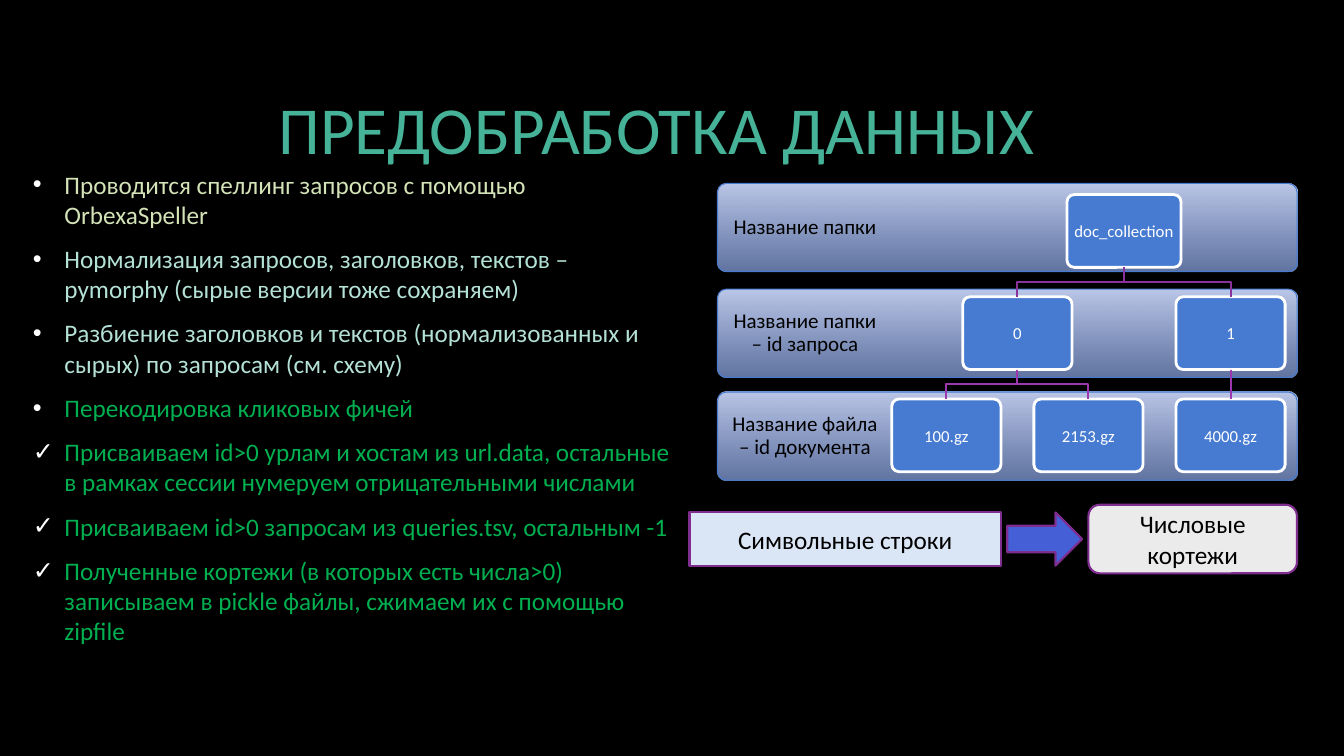
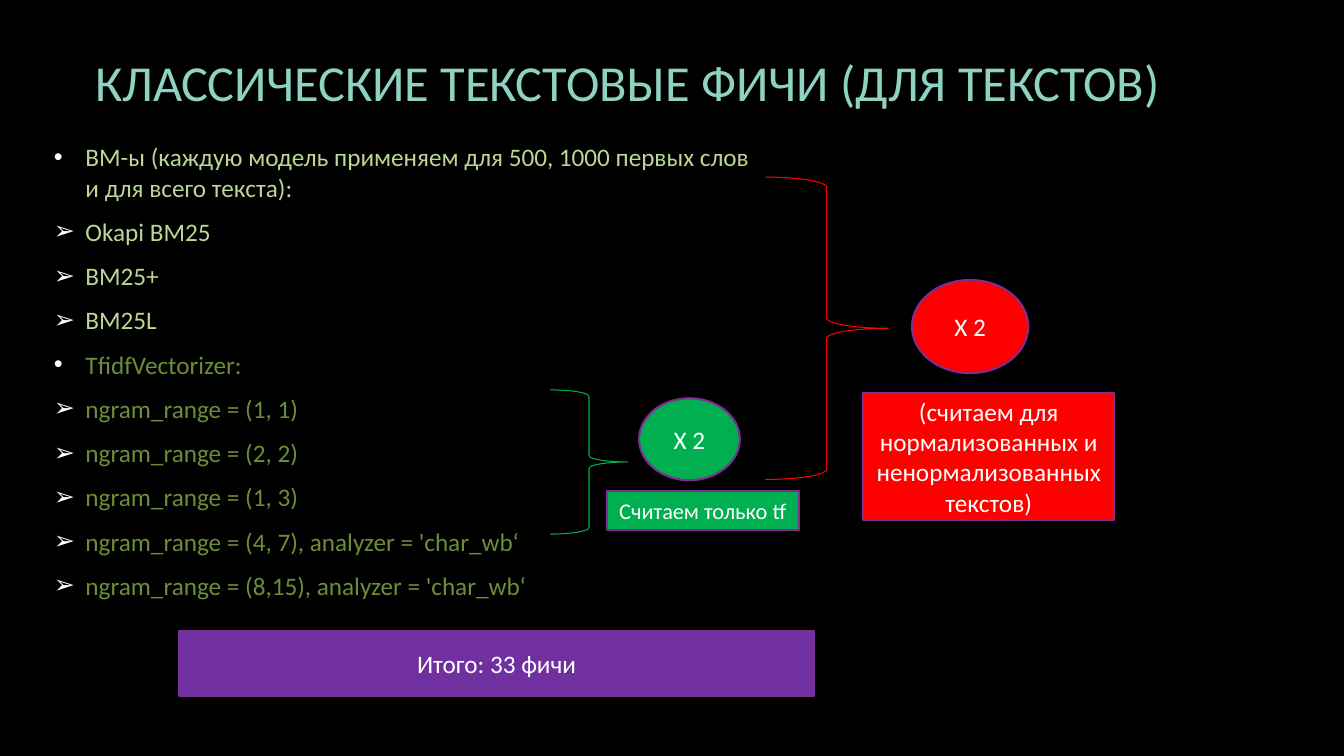
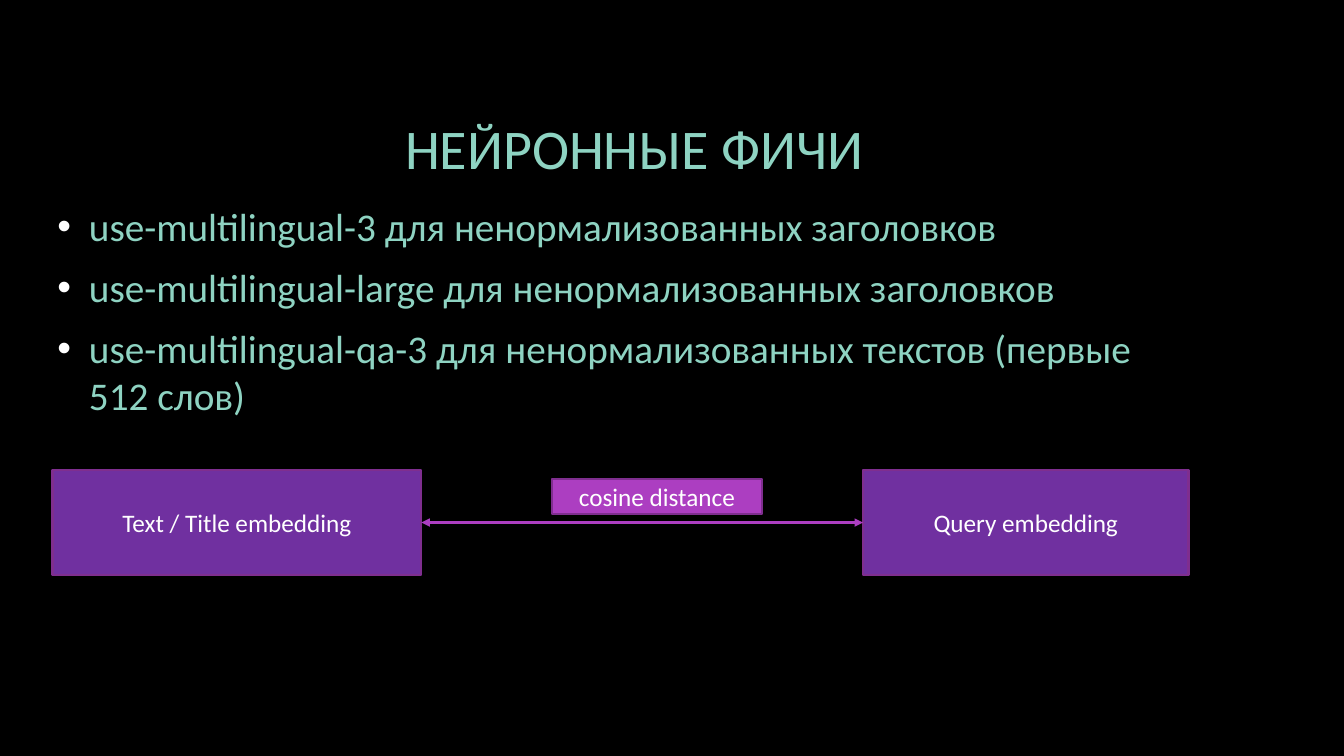
import dataclasses

import lxml.etree
import pptx
import pptx.dml.color
import pptx.enum.dml
import pptx.enum.shapes
import pptx.enum.text
import pptx.oxml.ns
import pptx.util

Pt = pptx.util.Pt
qn = pptx.oxml.ns.qn
Shape = pptx.enum.shapes.MSO_SHAPE
Align = pptx.enum.text.PP_ALIGN
RGB = pptx.dml.color.RGBColor.from_string


@dataclasses.dataclass(frozen=True)
class Theme:
    font: str = "Calibri"
    background: str = "000000"
    dark: str = "000000"
    white: str = "FFFFFF"
    teal: str = "46B298"
    light_teal: str = "8ED3C2"
    pale_teal: str = "B4E1D6"
    pale_olive: str = "D3E3B7"
    light_olive: str = "BCD694"
    olive: str = "6D8E37"
    green: str = "00B050"
    red: str = "FF0000"
    purple: str = "7030A0"
    outline: str = "7F2E8F"
    magenta: str = "AC3EC1"
    blue: str = "477BD1"
    arrow_blue: str = "455FD6"
    pale_blue: str = "DAE5F6"
    pale_grey: str = "EBEBEB"
    band_top: str = "BCC8E9"
    band_bottom: str = "859EDA"
    upper_branch: str = "8A329B"
    lower_branch: str = "9C38AF"
    body_size: float = 18
    large_size: float = 28
    note_size: float = 16
    band_size: float = 15
    node_size: float = 12
    bullet_indent: float = 22.5
    bullet_gap: float = 10


theme = Theme()


def write(frame, items, size, align=Align.CENTER):
    """Fill a frame with (bullet, colour, text) paragraphs."""
    frame.word_wrap = True
    frame.vertical_anchor = pptx.enum.text.MSO_ANCHOR.MIDDLE
    for index, (bullet, color, text) in enumerate(items):
        para = frame.add_paragraph() if index else frame.paragraphs[0]
        para.alignment = align
        if bullet:
            para.space_after = Pt(theme.bullet_gap)
            props = para._p.get_or_add_pPr()
            props.set("marL", str(Pt(theme.bullet_indent)))
            props.set("indent", str(-Pt(theme.bullet_indent)))
            tint = lxml.etree.SubElement(props, qn("a:buClr"))
            lxml.etree.SubElement(tint, qn("a:srgbClr"), val=theme.white)
            lxml.etree.SubElement(props, qn("a:buFont"), typeface="Arial")
            lxml.etree.SubElement(props, qn("a:buChar"), char=bullet)
        span = para.add_run()
        span.text = text
        span.font.name = theme.font
        span.font.size = Pt(size)
        span.font.color.rgb = RGB(color)


def draw(page, kind, area, fill=None, line=theme.outline, weight=1.5,
         text="", color=theme.white, size=theme.body_size):
    """Add a preset shape with an optional centred label."""
    box = page.shapes.add_shape(kind, *map(Pt, area))
    box.shadow.inherit = False
    if fill:
        box.fill.solid()
        box.fill.fore_color.rgb = RGB(fill)
    else:
        box.fill.background()
    box.line.color.rgb = RGB(line)
    box.line.width = Pt(weight)
    if text:
        write(box.text_frame, [("", color, text)], size)
    return box


deck = pptx.Presentation()
deck.slide_width, deck.slide_height = Pt(960), Pt(540)
backdrop = deck.slide_master.background.fill
backdrop.solid()
backdrop.fore_color.rgb = RGB(theme.background)

# Titles and bullet lists: title, area, size, colour, body area, size, items
contents = [
    ("ПРЕДОБРАБОТКА ДАННЫХ", (70, 34, 798, 114.5), 48, theme.teal,
     (16.5, 131, 473, 320), theme.body_size, [
         ("•", theme.pale_olive, "Проводится спеллинг запросов с помощью OrbexaSpeller"),
         ("•", theme.pale_teal, "Нормализация запросов, заголовков, текстов – pymorphy (сырые версии тоже сохраняем)"),
         ("•", theme.pale_teal, "Разбиение заголовков и текстов (нормализованных и сырых) по запросам (см. схему)"),
         ("•", theme.green, "Перекодировка кликовых фичей"),
         ("✓", theme.green, "Присваиваем id>0 урлам и хостам из url.data, остальные в рамках сессии нумеруем отрицательными числами"),
         ("✓", theme.green, "Присваиваем id>0 запросам из queries.tsv, остальным -1"),
         ("✓", theme.green, "Полученные кортежи (в которых есть числа>0) записываем в pickle файлы, сжимаем их с помощью zipfile"),
     ]),
    ("КЛАССИЧЕСКИЕ ТЕКСТОВЫЕ ФИЧИ (ДЛЯ ТЕКСТОВ)", (49.5, 21, 798, 74), 36, theme.light_teal,
     (31.5, 95, 515, 340), theme.body_size, [
         ("•", theme.light_olive, "BM-ы (каждую модель применяем для 500, 1000 первых слов и для всего текста):"),
         ("➢", theme.light_olive, "Okapi BM25"),
         ("➢", theme.light_olive, "BM25+"),
         ("➢", theme.light_olive, "BM25L"),
         ("•", theme.olive, "TfidfVectorizer:"),
         ("➢", theme.olive, "ngram_range = (1, 1)"),
         ("➢", theme.olive, "ngram_range = (2, 2)"),
         ("➢", theme.olive, "ngram_range = (1, 3)"),
         ("➢", theme.olive, "ngram_range = (4, 7), analyzer = 'char_wb‘"),
         ("➢", theme.olive, "ngram_range = (8,15), analyzer = 'char_wb‘"),
     ]),
    ("НЕЙРОННЫЕ ФИЧИ", (54, 48, 798, 114.5), 40, theme.light_teal,
     (34, 132.5, 798, 178.5), theme.large_size, [
         ("•", theme.light_teal, "use-multilingual-3 для ненормализованных заголовков"),
         ("•", theme.light_teal, "use-multilingual-large для ненормализованных заголовков"),
         ("•", theme.light_teal, "use-multilingual-qa-3 для ненормализованных текстов (первые 512 слов)"),
     ]),
]
pages = []
for title, title_area, title_size, title_color, body_area, body_size, items in contents:
    page = deck.slides.add_slide(deck.slide_layouts[6])
    heading = page.shapes.add_textbox(*map(Pt, title_area))
    write(heading.text_frame, [("", title_color, title)], title_size)
    body = page.shapes.add_textbox(*map(Pt, body_area))
    write(body.text_frame, items, body_size, Align.LEFT)
    pages.append(page)
data_page, text_page, neural_page = pages

# Folder tree: one labelled band per level
bands = [(131, "Название папки"),
         (206.5, "Название папки – id запроса"),
         (280, "Название файла – id документа")]
for top, label in bands:
    band = draw(data_page, Shape.ROUNDED_RECTANGLE, (512.5, top, 414, 63),
                line=theme.blue, weight=0.75, text=label,
                color=theme.dark, size=theme.band_size)
    band.adjustments[0] = 0.1
    band.fill.gradient()
    band.fill.gradient_angle = 270
    for stop, color in zip(band.fill.gradient_stops, (theme.band_top, theme.band_bottom)):
        stop.color.rgb = RGB(color)
    band.fill.gradient_stops[0].position = 0
    band.fill.gradient_stops[1].position = 1
    last_color = band._element.spPr.findall(".//" + qn("a:gs"))[-1][0]
    lxml.etree.SubElement(last_color, qn("a:alpha"), val="74000")
    band.text_frame.margin_left = Pt(7)
    band.text_frame.margin_right = Pt(296)
    band.text_frame.paragraphs[0].line_spacing = 0.9

# Folder tree: each parent is centred over its children
first, second, third = [676 + 101.5 * column for column in range(3)]
query_0 = (first + second) / 2
root = (query_0 + third) / 2
node_height = 52
node_tops = [139 + 73 * level for level in range(3)]
nodes = {}
for label, center, level, width in [
        ("doc_collection", root, 0, 81.5), ("0", query_0, 1, 78), ("1", third, 1, 78),
        ("100.gz", first, 2, 78), ("2153.gz", second, 2, 78), ("4000.gz", third, 2, 78)]:
    node = draw(data_page, Shape.ROUNDED_RECTANGLE,
                (center - width / 2, node_tops[level], width, node_height),
                theme.blue, theme.white, 2, label, size=theme.node_size)
    node.adjustments[0] = 0.1
    node.text_frame.margin_left = node.text_frame.margin_right = Pt(2)
    nodes[label] = node

# Folder tree: elbow branches and one straight branch
for parent, child, level, color in [
        (root, query_0, 0, theme.upper_branch), (root, third, 0, theme.upper_branch),
        (query_0, first, 1, theme.lower_branch), (query_0, second, 1, theme.lower_branch)]:
    start, end = node_tops[level] + node_height, node_tops[level + 1]
    middle = (start + end) / 2
    builder = data_page.shapes.build_freeform(Pt(parent), Pt(start))
    builder.add_line_segments(
        [(Pt(parent), Pt(middle)), (Pt(child), Pt(middle)), (Pt(child), Pt(end))], close=False)
    branch = builder.convert_to_shape()
    branch.shadow.inherit = False
    branch.fill.background()
    branch.line.color.rgb = RGB(color)
    branch.line.width = Pt(1.5)

# Strings become tuples
draw(data_page, Shape.RIGHT_ARROW, (719.5, 366, 53.5, 38), theme.arrow_blue)
draw(data_page, Shape.RECTANGLE, (492.5, 366, 222.5, 38), theme.pale_blue,
     text="Символьные строки", color=theme.dark)
draw(data_page, Shape.ROUNDED_RECTANGLE, (777.5, 360.5, 149, 49), theme.pale_grey,
     text="Числовые кортежи", color=theme.dark)

# Text features: total, braces and multipliers
draw(text_page, Shape.RECTANGLE, (128, 450.5, 453.5, 47), theme.purple, text="Итого: 33 фичи")
for color, brace, circle, note, label, size in [
        (theme.red, (546.5, 126.5, 88, 216), (651.5, 200, 83, 66.5), (616.5, 281, 179.5, 90.5),
         "(считаем для нормализованных и ненормализованных текстов)", theme.body_size),
        (theme.green, (393, 278.5, 55.5, 103), (456.5, 284.5, 72, 58.5), (433.5, 351, 137, 27.5),
         "Считаем только tf", theme.note_size)]:
    draw(text_page, Shape.RIGHT_BRACE, brace, line=color, weight=0.75)
    draw(text_page, Shape.OVAL, circle, color, text="X 2")
    draw(text_page, Shape.RECTANGLE, note, color, text=label, size=size)

# Neural features: two embeddings and the distance between them
title_embedding = draw(neural_page, Shape.RECTANGLE, (37.5, 335.5, 263.5, 75.5),
                       theme.purple, text="Text / Title embedding")
query_embedding = draw(neural_page, Shape.RECTANGLE, (616.5, 335.5, 232.5, 75.5),
                       theme.purple, text="Query embedding")

# Straight connectors: page, ends with their sites, colour, width, arrowheads
for page, begin, begin_site, end, end_site, color, weight, heads in [
        (data_page, nodes["1"], 2, nodes["4000.gz"], 0, theme.lower_branch, 1.5, ()),
        (neural_page, title_embedding, 3, query_embedding, 1, theme.magenta, 2,
         ("a:headEnd", "a:tailEnd"))]:
    link = page.shapes.add_connector(pptx.enum.shapes.MSO_CONNECTOR.STRAIGHT, 0, 0, 0, 0)
    link.begin_connect(begin, begin_site)
    link.end_connect(end, end_site)
    link.line.color.rgb = RGB(color)
    link.line.width = Pt(weight)
    for head in heads:
        lxml.etree.SubElement(link.line._get_or_add_ln(), qn(head), type="triangle")
    lxml.etree.SubElement(link._element.spPr, qn("a:effectLst"))

draw(neural_page, Shape.RECTANGLE, (394, 342, 150.5, 25), theme.magenta, text="cosine distance")

deck.save("out.pptx")
